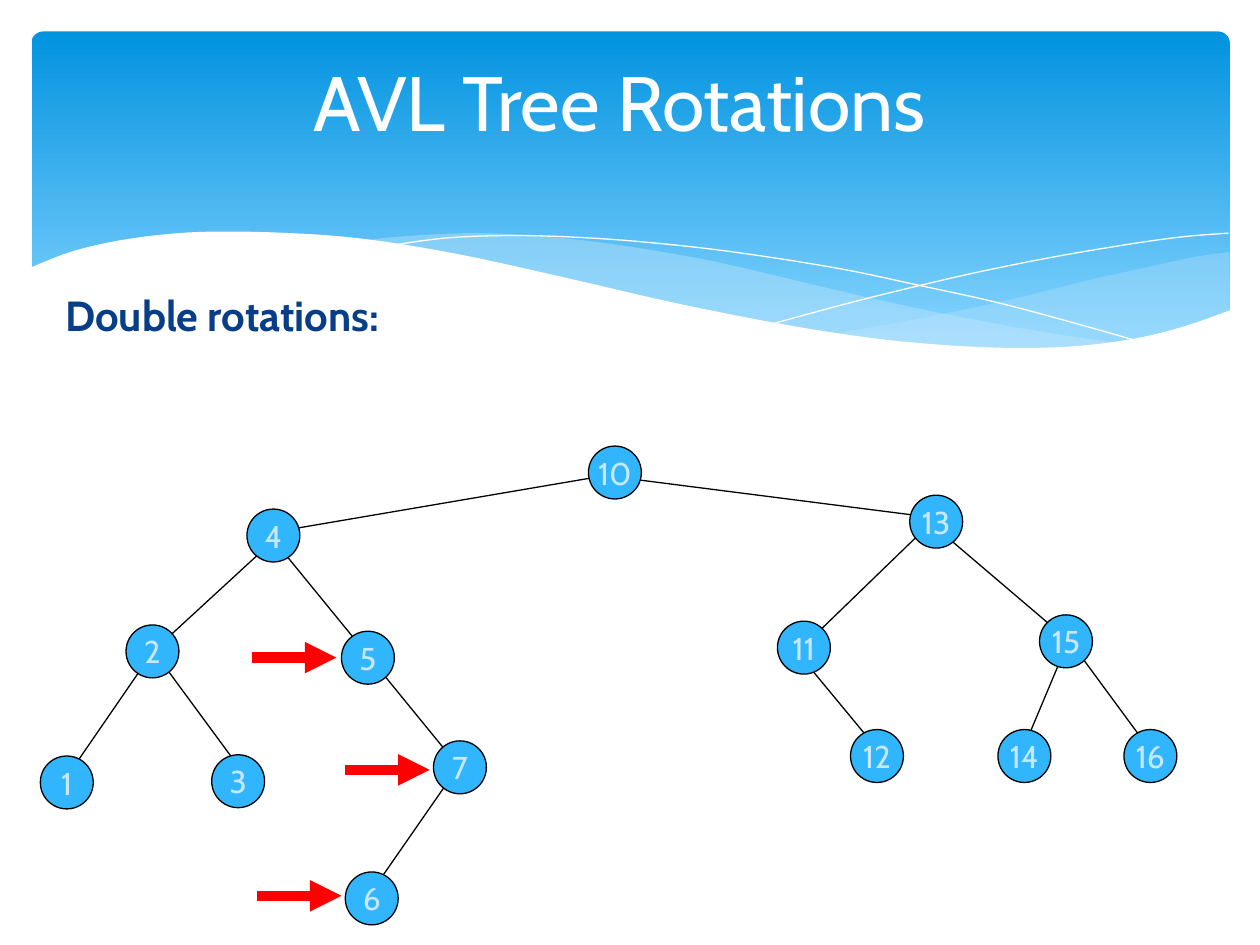
from dataclasses import dataclass

from lxml import etree
from pptx import Presentation
from pptx.dml.color import RGBColor
from pptx.enum.shapes import MSO_CONNECTOR, MSO_SHAPE
from pptx.enum.text import MSO_ANCHOR, PP_ALIGN
from pptx.oxml.ns import qn
from pptx.util import Inches, Pt


@dataclass(frozen=True)
class Theme:
    font: str = "Cabin"
    white: str = "FFFFFF"
    black: str = "000000"
    red: str = "FF0000"
    navy: str = "073E87"
    node: str = "31B6FD"
    pale: str = "C6E7FC"
    band_top: str = "0293E0"
    band_bottom: str = "83D3FE"
    title_size: int = 44
    heading_size: int = 24
    node_size: int = 18
    edge_width: float = 0.75
    arrow_width: float = 6


NODE_SIZE = 0.42
NODES = {
    10: (4.67, 3.54), 13: (7.22, 3.93), 15: (8.25, 4.88), 4: (1.96, 4.04),
    11: (6.17, 4.93), 2: (1, 4.96), 5: (2.71, 5.01), 7: (3.44, 5.88),
    12: (6.75, 5.79), 14: (7.92, 5.79), 16: (8.92, 5.79), 3: (1.68, 5.99),
    1: (0.32, 6), 6: (2.74, 6.92),
}
EDGES = [
    ((3.67, 6.04), (2.92, 7.12)), ((1.25, 5.12), (0.5, 6.21)),
    ((1.25, 5.21), (1.92, 6.12)), ((2.17, 4.29), (1.17, 5.21)),
    ((8.5, 5.1), (9.17, 6.01)), ((6.33, 5.18), (7, 5.99)),
    ((4.92, 3.79), (7.5, 4.12)), ((2.25, 4.21), (4.89, 3.76)),
    ((8.5, 5.04), (8.08, 6.04)), ((2.11, 4.21), (3.67, 6.12)),
    ((7.42, 4.12), (6.5, 5.01)), ((7.42, 4.18), (8.5, 5.1)),
]
ARROW_LENGTH = 0.67
ARROW_STARTS = [(2, 5.22), (2.74, 6.11), (2.04, 7.11)]

RIGHT_WAVE = [
    [(6.61, 2.65), (7.29, 2.53), (8.05, 2.37), (8.61, 2.23), (9.06, 2.13),
     (9.48, 2.04), (9.76, 2)],
    [(9.76, 2.47), (9.42, 2.59), (8.97, 2.7), (8.54, 2.76), (8.03, 2.78),
     (7.57, 2.76), (7.05, 2.71), (6.61, 2.65)],
]
MIDDLE_WAVE = [
    [(8.93, 2.73), (8.37, 2.65), (7.75, 2.54), (7.06, 2.4), (6.29, 2.22),
     (5.69, 2.08), (5.14, 1.98), (4.65, 1.91), (4.2, 1.87), (3.8, 1.85),
     (3.28, 1.87), (2.86, 1.91)],
    [(2.86, 1.91), (3.62, 2.03), (4.49, 2.22), (5.3, 2.4), (6.01, 2.55),
     (6.65, 2.66), (7.22, 2.74), (7.85, 2.78), (8.38, 2.78), (8.93, 2.73)],
]
FALLING_LINE = [
    [(3.09, 1.95), (3.53, 1.89), (4.01, 1.87), (4.5, 1.88), (5.1, 1.92),
     (5.82, 2), (6.65, 2.13), (7.27, 2.26), (7.95, 2.41), (8.69, 2.61),
     (9.07, 2.72)],
]
RISING_LINE = [
    [(6.13, 2.57), (6.72, 2.41), (7.2, 2.29), (7.76, 2.16), (8.36, 2.04),
     (8.95, 1.94), (9.38, 1.88), (9.75, 1.85)],
]
WHITE_WAVE = [
    [(0.23, 2.13), (0.59, 1.99), (1.06, 1.89), (1.61, 1.84), (2.3, 1.85),
     (2.92, 1.9), (3.65, 2.02), (4.47, 2.2), (5.29, 2.39), (6.03, 2.54),
     (6.68, 2.65), (7.26, 2.72), (7.93, 2.76), (8.5, 2.75), (8.99, 2.69),
     (9.4, 2.59), (9.77, 2.46)],
    [(9.77, 3.29), (0.23, 3.29)],
]


def rgb(color):
    return RGBColor.from_string(color)


def smooth_curve(points, steps=5):
    if len(points) < 3:
        return points
    padded = [points[0], *points, points[-1]]
    curve = [points[0]]
    for a, b, c, d in zip(padded, padded[1:], padded[2:], padded[3:]):
        for i in range(1, steps + 1):
            t = i / steps
            curve.append(tuple(
                0.5 * (2 * q + (r - p) * t + (2 * p - 5 * q + 4 * r - s) * t ** 2
                       + (3 * q - p - 3 * r + s) * t ** 3)
                for p, q, r, s in zip(a, b, c, d)))
    return curve


class SlideBuilder:
    def __init__(self, slide, theme):
        self.slide = slide
        self.theme = theme

    def band(self, x, y, w, h):
        sp = self.slide.shapes.add_shape(
            MSO_SHAPE.ROUNDED_RECTANGLE, Inches(x), Inches(y), Inches(w), Inches(h))
        sp.adjustments[0] = 0.034
        sp.shadow.inherit = False
        sp.line.fill.background()
        sp.fill.gradient()
        sp.fill.gradient_angle = 270
        stops = zip(sp.fill.gradient_stops, (0, 0.9),
                    (self.theme.band_top, self.theme.band_bottom))
        for stop, position, color in stops:
            stop.position = position
            stop.color.rgb = rgb(color)

    def outline(self, curves, fill=None, alpha=None, line=None):
        points = [(Inches(x), Inches(y))
                  for curve in curves for x, y in smooth_curve(curve)]
        builder = self.slide.shapes.build_freeform(*points[0])
        builder.add_line_segments(points[1:], close=fill is not None)
        sp = builder.convert_to_shape()
        sp.shadow.inherit = False
        if fill:
            sp.fill.solid()
            sp.fill.fore_color.rgb = rgb(fill)
        else:
            sp.fill.background()
        if alpha:
            color = sp._element.spPr.find(".//" + qn("a:srgbClr"))
            etree.SubElement(color, qn("a:alpha"), val=str(alpha * 1000))
        if line:
            sp.line.color.rgb = rgb(line)
            sp.line.width = Pt(0)
        else:
            sp.line.fill.background()

    def line(self, start, end, color, width, arrow=False):
        cxn = self.slide.shapes.add_connector(
            MSO_CONNECTOR.STRAIGHT, *(Inches(v) for v in (*start, *end)))
        cxn.line.color.rgb = rgb(color)
        cxn.line.width = Pt(width)
        spPr = cxn._element.spPr
        if arrow:
            etree.SubElement(spPr.find(qn("a:ln")), qn("a:tailEnd"), type="triangle")
        etree.SubElement(spPr, qn("a:effectLst"))

    def set_text(self, tf, text, size, color, align, bold=False):
        p = tf.paragraphs[0]
        p.text = text
        p.alignment = align
        p.font.name = self.theme.font
        p.font.size = Pt(size)
        p.font.bold = bold
        p.font.color.rgb = rgb(color)

    def node(self, key, x, y):
        sp = self.slide.shapes.add_shape(
            MSO_SHAPE.OVAL, Inches(x), Inches(y), Inches(NODE_SIZE), Inches(NODE_SIZE))
        sp.shadow.inherit = False
        sp.fill.solid()
        sp.fill.fore_color.rgb = rgb(self.theme.node)
        sp.line.color.rgb = rgb(self.theme.black)
        sp.line.width = Pt(self.theme.edge_width)
        tf = sp.text_frame
        tf.word_wrap = False
        tf.vertical_anchor = MSO_ANCHOR.MIDDLE
        tf.margin_left = tf.margin_right = tf.margin_top = tf.margin_bottom = 0
        self.set_text(tf, str(key), self.theme.node_size, self.theme.pale, PP_ALIGN.CENTER)

    def text(self, text, box, size, color, align=PP_ALIGN.LEFT,
             anchor=MSO_ANCHOR.TOP, bold=False):
        tf = self.slide.shapes.add_textbox(*(Inches(v) for v in box)).text_frame
        tf.word_wrap = True
        tf.vertical_anchor = anchor
        self.set_text(tf, text, size, color, align, bold)


def main():
    prs = Presentation()
    prs.slide_width, prs.slide_height = Inches(10), Inches(7.5)
    theme = Theme()
    s = SlideBuilder(prs.slides.add_slide(prs.slide_layouts[6]), theme)

    s.band(0.25, 0.25, 9.51, 2.7)
    s.outline(RIGHT_WAVE, fill=theme.pale, alpha=29)
    s.outline(MIDDLE_WAVE, fill=theme.pale, alpha=40)
    s.outline(FALLING_LINE, line=theme.white)
    s.outline(RISING_LINE, line=theme.white)
    s.outline(WHITE_WAVE, fill=theme.white)

    s.text("AVL Tree Rotations", (0.67, 0.17, 8.5, 1.25), theme.title_size,
           theme.white, PP_ALIGN.CENTER, MSO_ANCHOR.MIDDLE)
    for start, end in EDGES:
        s.line(start, end, theme.black, theme.edge_width)
    for key, (x, y) in NODES.items():
        s.node(key, x, y)
    for x, y in ARROW_STARTS:
        s.line((x, y), (x + ARROW_LENGTH, y), theme.red, theme.arrow_width, arrow=True)
    s.text("Double rotations:", (0.42, 2.25, 9.33, 0.67), theme.heading_size,
           theme.navy, bold=True)

    prs.save("out.pptx")


if __name__ == "__main__":
    main()
